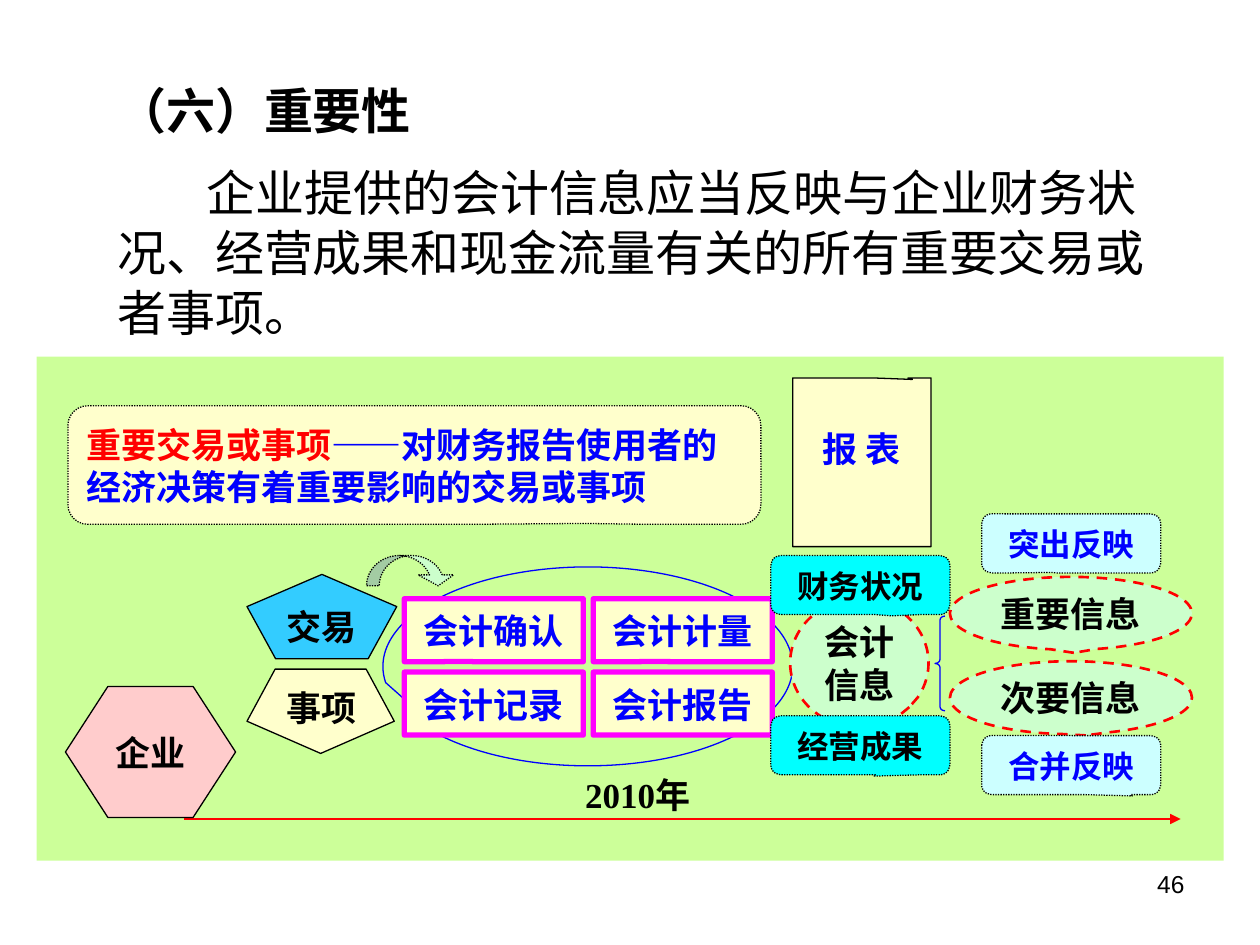
"""Builds the slide on materiality in accounting information."""
from lxml import etree
from pptx import Presentation
from pptx.dml.color import RGBColor
from pptx.enum import dml, shapes, text
from pptx.oxml import ns
from pptx.util import Cm, Pt

BLACK = RGBColor(0, 0, 0)
RED = RGBColor(0xFF, 0, 0)
BLUE = RGBColor(0, 0, 0xFF)
MAGENTA = RGBColor(0xFF, 0, 0xFF)
CYAN = RGBColor(0, 0xFF, 0xFF)
SKY = RGBColor(0x33, 0xCC, 0xFF)
PALE_BLUE = RGBColor(0xCC, 0xFF, 0xFF)
CREAM = RGBColor(0xFF, 0xFF, 0xCC)
PINK = RGBColor(0xFF, 0xCC, 0xCC)
MINT = RGBColor(0xCC, 0xFF, 0xCC)
LIME = RGBColor(0xCC, 0xFF, 0x99)

SANS, SERIF, HAN = "Arial", "Times New Roman", "Noto Sans CJK SC"
KIND = shapes.MSO_SHAPE
DOTS = dml.MSO_LINE.ROUND_DOT
DASHES = dml.MSO_LINE.DASH
LEFT, CENTER, RIGHT = text.PP_ALIGN.LEFT, text.PP_ALIGN.CENTER, text.PP_ALIGN.RIGHT


class Page:
    """Holds the style and the current slide."""

    def __init__(self, deck):
        self.slide = deck.slides.add_slide(deck.slide_layouts[0])
        self.line_height = 1.22

    def place(self, item, left, top, width, height):
        item.left, item.top = Cm(left), Cm(top)
        item.width, item.height = Cm(width), Cm(height)

    def letter(self, item, lines, size, font=SANS, bold=True, align=CENTER, wrap=False):
        """Fills an item with lines, each a list of (words, colour, font) runs."""
        frame = item.text_frame
        frame.word_wrap = wrap
        frame.auto_size = text.MSO_AUTO_SIZE.NONE
        frame.vertical_anchor = text.MSO_ANCHOR.MIDDLE
        for number, runs in enumerate(lines):
            para = frame.add_paragraph() if number else frame.paragraphs[0]
            para.alignment = align
            para.space_before = Pt(0)
            para.line_spacing = Pt(round(size * self.line_height, 1))
            for words, colour, *face in runs:
                span = para.add_run()
                span.text = words
                span.font.size, span.font.bold = Pt(size), bold
                span.font.name = face[0] if face else font
                span.font.color.rgb = colour
                east = etree.SubElement(span._r.get_or_add_rPr(), ns.qn("a:ea"))
                east.set("typeface", HAN)
        return frame

    def holder(self, index, place, words, bold):
        item = self.slide.placeholders[index]
        self.place(item, *place)
        return self.letter(item, [[(words, BLACK)]], 28, HAN, bold, LEFT, True)

    def label(self, place, words, size, font=SANS, bold=True, align=CENTER):
        box = self.slide.shapes.add_textbox(*map(Cm, place))
        self.letter(box, [[(words, BLACK)]], size, font, bold, align)

    def shape(self, kind, place, fill=None, line=None, weight=0.75, dash=None, adjust=()):
        item = self.slide.shapes.add_shape(kind, *map(Cm, place))
        item.shadow.inherit = False
        for number, value in enumerate(adjust):
            item.adjustments[number] = value
        if fill is None:
            item.fill.background()
        else:
            item.fill.solid()
            item.fill.fore_color.rgb = fill
        if line is None:
            item.line.fill.background()
        else:
            item.line.color.rgb = line
            item.line.width = Pt(weight)
            if dash:
                item.line.dash_style = dash
        return item

    def tag(self, place, words, fill, colour, tail):
        item = self.shape(KIND.ROUNDED_RECTANGULAR_CALLOUT, place, fill, BLACK,
                          dash=DOTS, adjust=(*tail, 0.167))
        self.letter(item, [[(words, colour)]], 18, SERIF)

    def bubble(self, place, lines, tail):
        item = self.shape(KIND.OVAL_CALLOUT, place, MINT, RED, 1.5, DASHES, tail)
        self.letter(item, [[(words, BLACK)] for words in lines], 20)

    def arrow(self, left, right, level):
        item = self.slide.shapes.add_connector(
            shapes.MSO_CONNECTOR.STRAIGHT, Cm(left), Cm(level), Cm(right), Cm(level))
        item.line.color.rgb = RED
        item.line.width = Pt(1.5)
        properties = item._element.spPr
        head = etree.SubElement(properties.find(ns.qn("a:ln")), ns.qn("a:tailEnd"))
        head.set("type", "triangle")
        etree.SubElement(properties, ns.qn("a:effectLst"))


def main():
    deck = Presentation()
    deck.slide_width, deck.slide_height = Cm(25.4), Cm(19.05)
    page = Page(deck)

    page.holder(0, (2.11, 1.47, 21.79, 1.47), "（六）重要性", True)
    body = page.holder(
        1, (2.11, 3.1, 21.79, 3.94),
        "企业提供的会计信息应当反映与企业财务状况、经营成果和现金流量有关的所有重要交易或者事项。", False)
    body.paragraphs[0]._p.get_or_add_pPr().set("indent", str(Cm(1.8)))

    page.shape(KIND.RECTANGLE, (0.74, 7.19, 23.93, 10.16), LIME)
    meaning = page.shape(KIND.ROUNDED_RECTANGULAR_CALLOUT, (1.37, 8.18, 13.97, 2.39),
                         CREAM, BLACK, dash=DOTS, adjust=(0.246, 0.493, 0.167))
    page.letter(meaning, [[("重要交易或事项", RED), ("——", BLUE, SANS),
                           ("对财务报告使用者的经济决策有着重要影响的交易或事项", BLUE)]],
                20, SERIF, align=LEFT, wrap=True)

    page.arrow(3.71, 23.8, 16.51)
    page.label((11.46, 15.44, 2.79, 1.12), "2010年", 20, SERIF)

    company = page.shape(KIND.HEXAGON, (1.32, 13.84, 3.43, 2.64), PINK, BLACK, adjust=(0.324,))
    page.letter(company, [[("企业", BLACK)]], 20, SERIF)
    event = page.shape(KIND.REGULAR_PENTAGON, (4.98, 13.49, 2.97, 1.7), CREAM, BLACK)
    event._element.spPr.xfrm.set("flipV", "1")
    page.label((5.21, 13.62, 2.54, 1.27), "事项", 20)
    trade = page.shape(KIND.REGULAR_PENTAGON, (4.98, 11.58, 3.02, 1.7), SKY, BLACK)
    page.letter(trade, [[("交易", BLACK)]], 20)
    page.shape(KIND.CURVED_DOWN_ARROW, (7.39, 11.2, 1.8, 0.61), MINT, BLACK,
               dash=DOTS, adjust=(0.42, 1.17, 0.36))

    page.shape(KIND.OVAL_CALLOUT, (7.72, 11.43, 8.26, 4.01), None, BLUE, adjust=(-0.447, 0.166))
    steps = [("会计确认", -0.179), ("会计计量", -0.071), ("会计记录", -0.12), ("会计报告", -0.218)]
    for number, (words, tail) in enumerate(steps):
        row, column = divmod(number, 2)
        step = page.shape(KIND.RECTANGULAR_CALLOUT,
                          (8.15 + 3.81 * column, 12.07 + 1.48 * row, 3.61, 1.27),
                          CREAM, MAGENTA, 3, adjust=(tail, 0.497))
        page.letter(step, [[(words, BLUE)]], 20)

    page.shape(KIND.LEFT_BRACE, (18.85, 12.42, 0.2, 1.91), None, BLUE, adjust=(0.4, 0.5))
    page.bubble((19.15, 11.63, 4.88, 1.47), ["重要信息"], (0.012, 0.542))
    page.bubble((19.15, 13.33, 4.88, 1.47), ["次要信息"], (0.062, 0.518))
    page.tag((19.79, 10.36, 3.61, 1.19), "突出反映", PALE_BLUE, BLUE, (-0.11, 0.493))
    page.tag((19.79, 14.83, 3.61, 1.19), "合并反映", PALE_BLUE, BLUE, (0.341, 0.522))

    report = page.shape(KIND.RECTANGULAR_CALLOUT, (15.98, 7.62, 2.79, 3.4),
                        CREAM, BLACK, adjust=(0.365, -0.491))
    page.letter(report, [[("报 表", BLUE)]], 20, HAN).margin_bottom = Cm(0.7)
    page.bubble((15.93, 12.07, 2.79, 2.59), ["会计", "信息"], (0.361, 0.344))
    page.tag((15.54, 11.2, 3.61, 1.19), "财务状况", CYAN, BLACK, (0.175, 0.522))
    page.tag((15.54, 14.43, 3.61, 1.19), "经营成果", CYAN, BLACK, (0.077, 0.522))

    page.label((18.21, 17.2, 5.92, 1.2), "46", 14, bold=False, align=RIGHT)
    deck.save("out.pptx")


if __name__ == "__main__":
    main()
